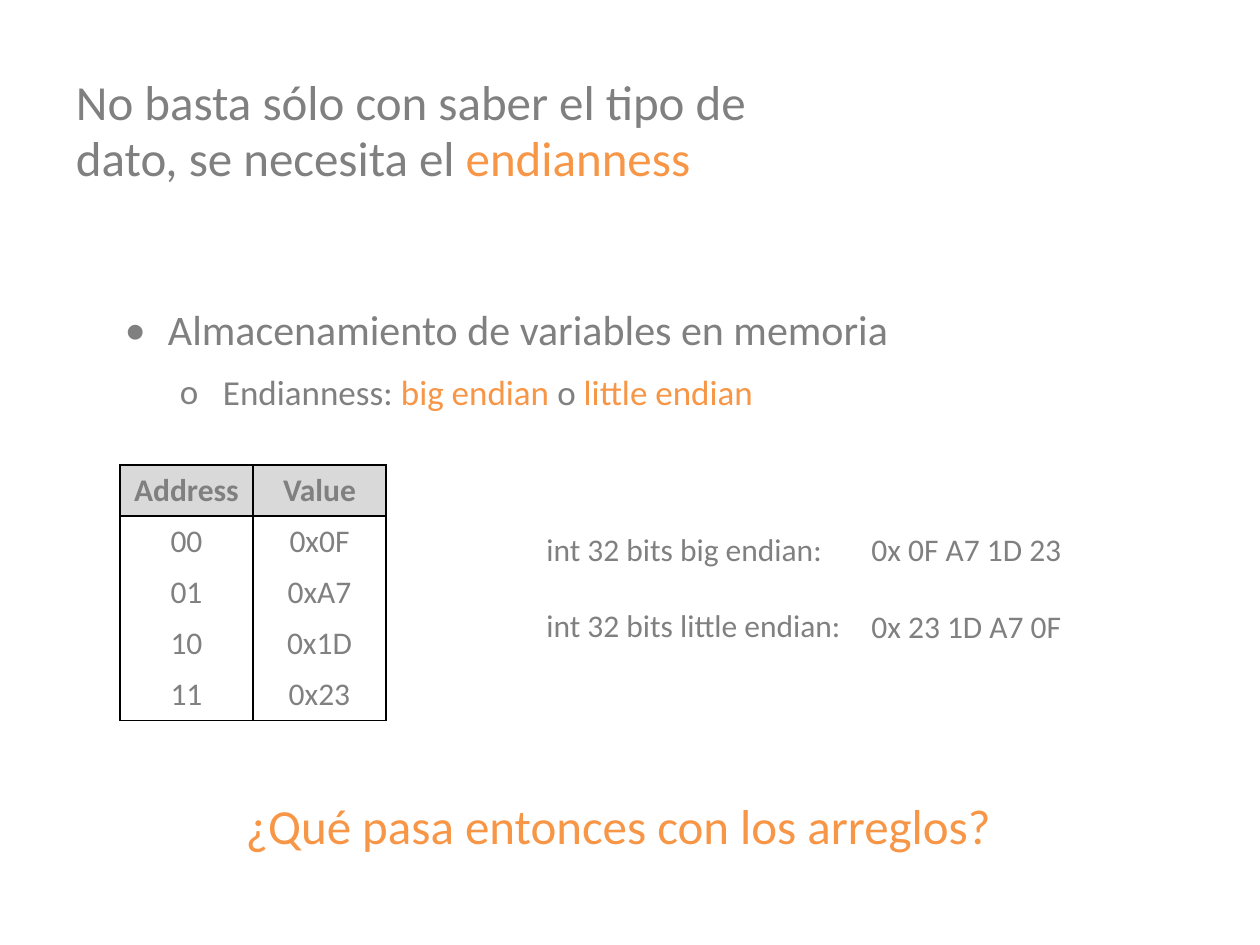
import pptx
import pptx.dml.color
import pptx.enum.text
import pptx.oxml
import pptx.oxml.ns
import pptx.util

EMU_PER_PX = 914400 / 126
COLORS = {"gray": "808080", "orange": "F79646", "header": "D9D9D9", "line": "000000"}
ALIGN = pptx.enum.text.PP_ALIGN
AUTO_SIZE = pptx.enum.text.MSO_AUTO_SIZE
MARGINS = ("margin_left", "margin_top", "margin_right", "margin_bottom")
SPACED = {"line_spacing": 0.95, "space_after": pptx.util.Pt(10.8)}


def px(length):
    return pptx.util.Emu(round(length * EMU_PER_PX))


def rgb(name):
    return pptx.dml.color.RGBColor.from_string(COLORS[name])


def set_all(target, values):
    for name, value in values.items():
        setattr(target, name, value)


def xml(tag, attributes="", content=""):
    """Return a DrawingML element."""
    namespace = pptx.oxml.ns.nsdecls("a")
    return pptx.oxml.parse_xml(f"<a:{tag} {namespace} {attributes}>{content}</a:{tag}>")


class SlideBuilder:
    font = "Calibri"

    def __init__(self, deck):
        self.page = deck.slides.add_slide(deck.slide_layouts[5])

    def fill_paragraph(self, para, spans, size, bold=False, **layout):
        """Fill a paragraph with (text, color) spans."""
        set_all(para, layout)
        for text, color in spans:
            span = para.add_run()
            span.text = text
            set_all(span.font, {"name": self.font, "size": pptx.util.Pt(size), "bold": bold})
            span.font.color.rgb = rgb(color)

    def indent(self, para, margin, hanging, bullet=None):
        properties = para._p.get_or_add_pPr()
        properties.set("marL", str(px(margin)))
        properties.set("indent", str(px(-hanging)))
        if bullet:
            color = xml("buClr", content=f'<a:srgbClr val="{COLORS["gray"]}"/>')
            properties.extend([color, xml("buFont", f'typeface="{self.font}"'),
                               xml("buChar", f'char="{bullet}"')])

    def title(self, area, spans, size):
        box = self.page.shapes.title
        set_all(box, dict(zip(("left", "top", "width", "height"), map(px, area))))
        frame = box.text_frame
        set_all(frame, dict.fromkeys(MARGINS, 0))
        set_all(frame, {"word_wrap": True, "auto_size": AUTO_SIZE.NONE,
                        "vertical_anchor": pptx.enum.text.MSO_ANCHOR.TOP})
        self.fill_paragraph(frame.paragraphs[0], spans, size,
                            alignment=ALIGN.LEFT, line_spacing=0.95)

    def text_box(self, area, inset=True, wrap=True):
        frame = self.page.shapes.add_textbox(*map(px, area)).text_frame
        if not inset:
            set_all(frame, dict.fromkeys(MARGINS, 0))
        set_all(frame, {"word_wrap": wrap,
                        "auto_size": AUTO_SIZE.NONE if wrap else AUTO_SIZE.SHAPE_TO_FIT_TEXT})
        return frame

    def label(self, area, lines, size, gap=0, alignment=ALIGN.LEFT):
        """Add an unwrapped gray text box with a gap between its lines."""
        frame = self.text_box(area, wrap=False)
        for index, line in enumerate(lines):
            para = frame.add_paragraph() if index else frame.paragraphs[0]
            self.fill_paragraph(para, [(line, "gray")], size, alignment=alignment,
                                space_before=pptx.util.Pt(gap if index else 0))

    def table(self, left, top, column_width, row_height, rows, size):
        columns = len(rows[0])
        table = self.page.shapes.add_table(
            len(rows), columns, px(left), px(top),
            px(column_width * columns), px(row_height * len(rows))).table
        set_all(table, {"first_row": False, "horz_banding": False})
        ruled = (0, 1, len(rows))
        for column in table.columns:
            column.width = px(column_width)
        for row_index, row in enumerate(rows):
            table.rows[row_index].height = px(row_height)
            header = row_index == 0
            for column_index, text in enumerate(row):
                cell = table.cell(row_index, column_index)
                if header:
                    cell.fill.solid()
                    cell.fill.fore_color.rgb = rgb("header")
                else:
                    cell.fill.background()
                self.fill_paragraph(cell.text_frame.paragraphs[0], [(text, "gray")], size,
                                    bold=header, alignment=ALIGN.CENTER)
                self.borders(cell, {"L": True, "R": True, "T": row_index in ruled,
                                    "B": row_index + 1 in ruled})

    def borders(self, cell, sides):
        properties = cell._tc.get_or_add_tcPr()
        solid = f'<a:solidFill><a:srgbClr val="{COLORS["line"]}"/></a:solidFill>'
        for index, (side, shown) in enumerate(sides.items()):
            line = xml(f"ln{side}", 'w="12700"', solid if shown else "<a:noFill/>")
            properties.insert(index, line)


def main():
    deck = pptx.Presentation()
    set_all(deck, {"slide_width": px(1260), "slide_height": px(945)})
    slide = SlideBuilder(deck)

    slide.title((76, 76, 693, 155),
                [("No basta sólo con saber el tipo de dato, se necesita el ", "gray"),
                 ("endianness", "orange")], 28)

    body = slide.text_box((111, 307, 945, 197), inset=False)
    topic = body.paragraphs[0]
    slide.fill_paragraph(topic, [("Almacenamiento de variables en memoria", "gray")], 24,
                         alignment=ALIGN.JUSTIFY, **SPACED)
    slide.indent(topic, 57, 43, "•")
    detail = body.add_paragraph()
    slide.fill_paragraph(detail, [("Endianness: ", "gray"), ("big endian ", "orange"),
                                  ("o ", "gray"), ("little endian", "orange")], 20,
                         alignment=ALIGN.JUSTIFY, level=1, **SPACED)
    slide.indent(detail, 112, 43, "o")

    slide.table(120, 465, 133, 51,
                [("Address", "Value"), ("00", "0x0F"), ("01", "0xA7"),
                 ("10", "0x1D"), ("11", "0x23")], 18)

    slide.label((534, 524, 325, 127),
                ["int 32 bits big endian:", "int 32 bits little endian:"], 18,
                gap=22, alignment=ALIGN.JUSTIFY)
    for top, value in ((524, "0x 0F A7 1D 23"), (601, "0x 23 1D A7 0F")):
        slide.label((859, top, 218, 50), [value], 18)

    question = slide.text_box((217, 800, 788, 59), inset=False).paragraphs[0]
    slide.fill_paragraph(question, [("¿Qué pasa entonces con los arreglos?", "orange")], 28,
                         alignment=ALIGN.CENTER, **SPACED)
    slide.indent(question, 57, 43)

    deck.save("out.pptx")


if __name__ == "__main__":
    main()
